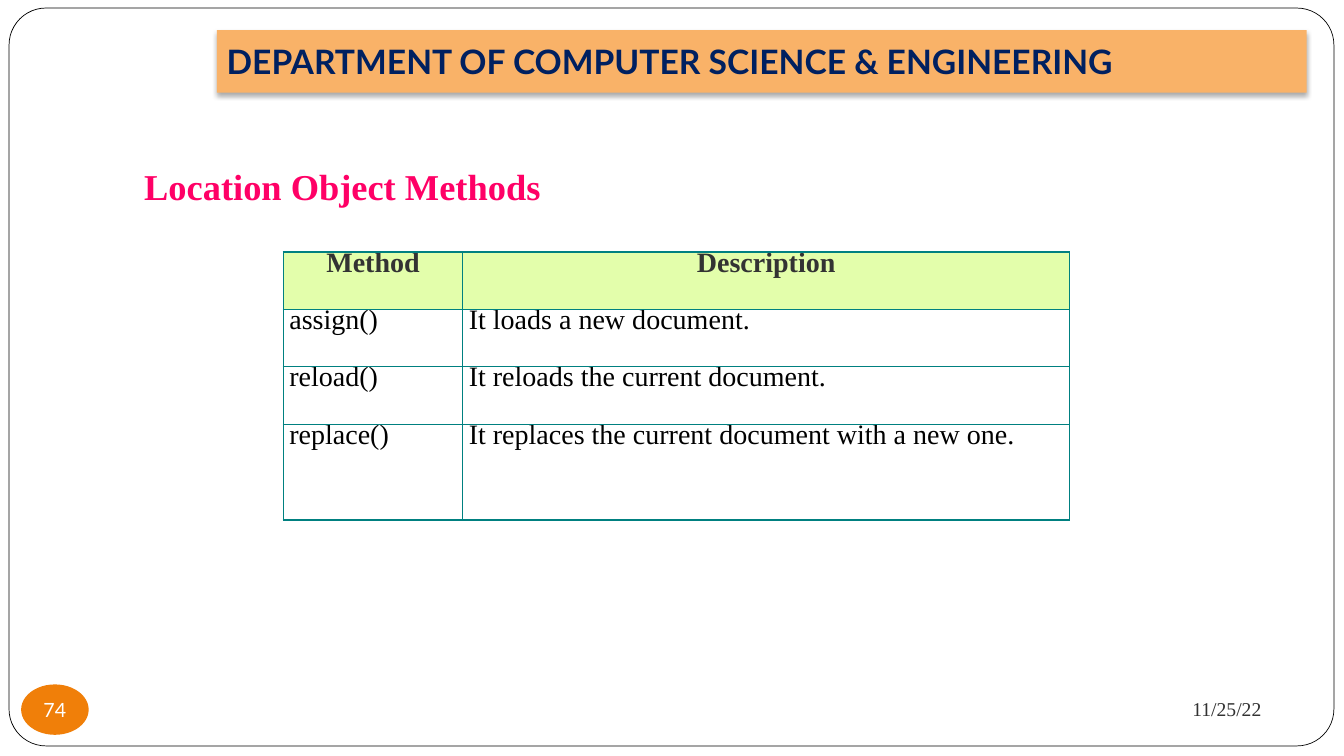
from dataclasses import dataclass

from lxml.etree import SubElement
from pptx import Presentation
from pptx.dml.color import RGBColor as RGB
from pptx.enum.shapes import MSO_SHAPE as SHAPE
from pptx.enum.text import MSO_ANCHOR as ANCHOR, MSO_AUTO_SIZE as FIT, PP_ALIGN as ALIGN
from pptx.oxml.ns import qn
from pptx.util import Pt

PX = 9144


@dataclass(frozen=True)
class Theme:
    sans: str = "Lato"
    serif: str = "Times New Roman"
    paper: str = "FFFFFF"
    ink: str = "000000"
    banner: str = "F9B268"
    navy: str = "002060"
    pink: str = "FF0066"
    grey: str = "323232"
    orange: str = "F07F09"
    head_fill: str = "E3FEAB"
    head_text: str = "333333"
    grid: str = "008080"
    heading_size: int = 26
    banner_size: int = 24
    table_size: int = 20
    small_size: int = 14


T = Theme()
METHODS = [
    ("Method", "Description"),
    ("assign()", "It loads a new document."),
    ("reload()", "It reloads the current document."),
    ("replace()", "It replaces the current document with a new one."),
]


def px(*lengths):
    return [n * PX for n in lengths]


def assign(target, values):
    for name, value in values.items():
        setattr(target, name, value)


def write(tf, text, font, size, color, bold=False, para=None, **frame):
    assign(tf, {"word_wrap": True, "vertical_anchor": ANCHOR.MIDDLE, **frame})
    p = tf.paragraphs[0]
    assign(p, {"alignment": ALIGN.LEFT, **(para or {})})
    r = p.add_run()
    r.text = text
    assign(r.font, {"name": font, "size": Pt(size), "bold": bold})
    r.font.color.rgb = RGB.from_string(color)


def add_block(s, kind, box, fill, line=None):
    sp = s.shapes.add_shape(kind, *px(*box))
    sp.shadow.inherit = False
    sp.fill.solid()
    sp.fill.fore_color.rgb = RGB.from_string(fill)
    if line:
        sp.line.color.rgb = RGB.from_string(line)
        sp.line.width = Pt(0.5)
    else:
        sp.line.fill.background()
    return sp


def add_drop_shadow(sp):
    effects = sp.element.spPr.find(qn("a:effectLst"))
    shadow = SubElement(effects, qn("a:outerShdw"), blurRad="44450", dist="27940",
                        dir="5400000", algn="t", rotWithShape="0")
    color = SubElement(shadow, qn("a:srgbClr"), val=T.ink)
    SubElement(color, qn("a:alpha"), val="32000")


def add_heading(s, text, box):
    sp = s.shapes.title
    sp.element.getparent().append(sp.element)
    assign(sp, dict(zip(("left", "top", "width", "height"), px(*box))))
    write(sp.text_frame, text, T.serif, T.heading_size, T.pink, True,
          {"space_before": Pt(5.8)}, vertical_anchor=ANCHOR.TOP, auto_size=FIT.NONE)


def add_borders(cell):
    tc_pr = cell._tc.get_or_add_tcPr()
    for i, side in enumerate(("lnL", "lnR", "lnT", "lnB")):
        ln = tc_pr.makeelement(qn(f"a:{side}"), {"w": str(Pt(1))})
        fill = SubElement(ln, qn("a:solidFill"))
        SubElement(fill, qn("a:srgbClr"), val=T.grid)
        tc_pr.insert(i, ln)


def fill_cell(cell, text, is_head):
    margins = dict(zip(("margin_left", "margin_top", "margin_right", "margin_bottom"),
                       px(6, 4, 6, 4)))
    assign(cell, {"vertical_anchor": ANCHOR.TOP, **margins})
    if is_head:
        cell.fill.solid()
        cell.fill.fore_color.rgb = RGB.from_string(T.head_fill)
    else:
        cell.fill.background()
    write(cell.text_frame, text, T.serif, T.table_size,
          T.head_text if is_head else T.ink, is_head,
          {"alignment": ALIGN.CENTER if is_head else ALIGN.LEFT,
           "line_spacing": Pt(15.8)}, vertical_anchor=None)
    add_borders(cell)


def add_grid(s, rows, left, top, widths, heights):
    table = s.shapes.add_table(len(rows), len(widths),
                               *px(left, top, sum(widths), sum(heights))).table
    assign(table, {"first_row": False, "horz_banding": False})
    for column, width in zip(table.columns, px(*widths)):
        column.width = width
    for row, height, texts in zip(table.rows, px(*heights), rows):
        row.height = height
        for cell, text in zip(row.cells, texts):
            fill_cell(cell, text, texts is rows[0])


def main():
    prs = Presentation()
    assign(prs, dict(zip(("slide_width", "slide_height"), px(1333, 750))))
    s = prs.slides.add_slide(prs.slide_layouts[5])

    frame = add_block(s, SHAPE.ROUNDED_RECTANGLE, (9, 8, 1314, 732), T.paper, T.ink)
    frame.adjustments[0] = 0.05

    banner = add_block(s, SHAPE.RECTANGLE, (215, 30, 1081, 62), T.banner)
    add_drop_shadow(banner)
    write(banner.text_frame, "DEPARTMENT OF COMPUTER SCIENCE & ENGINEERING",
          T.sans, T.banner_size, T.navy, True)

    date = s.shapes.add_textbox(*px(900, 677, 361, 52))
    write(date.text_frame, "11/25/22", T.serif, T.small_size, T.grey,
          para={"alignment": ALIGN.RIGHT})

    badge = add_block(s, SHAPE.OVAL, (21, 679, 67, 50), T.orange)
    write(badge.text_frame, "74", T.sans, T.small_size, T.paper,
          para={"alignment": ALIGN.CENTER}, word_wrap=False,
          margin_left=0, margin_top=0, margin_right=0, margin_bottom=0)

    add_heading(s, "Location Object Methods", (133, 158, 1133, 70))
    add_grid(s, METHODS, 281, 250, (178, 602), (57, 57, 57, 95))
    prs.save("out.pptx")


if __name__ == "__main__":
    main()
